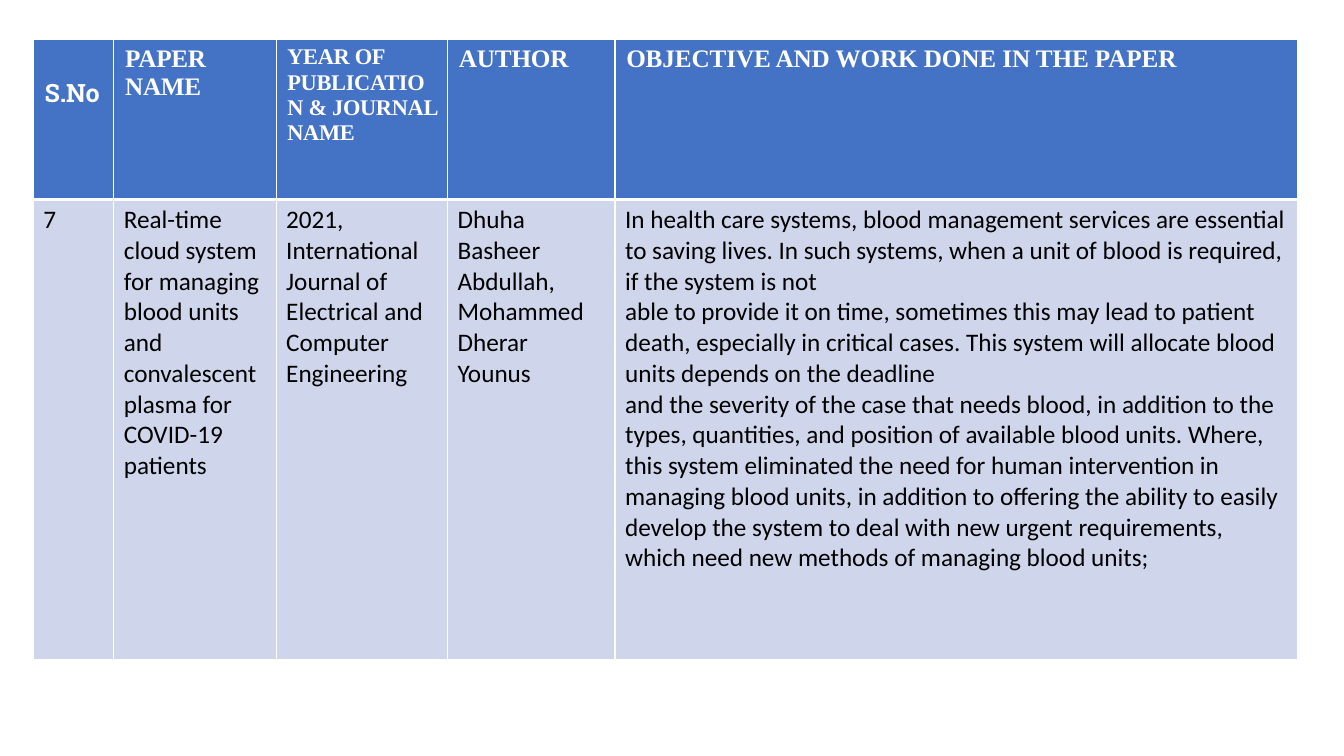
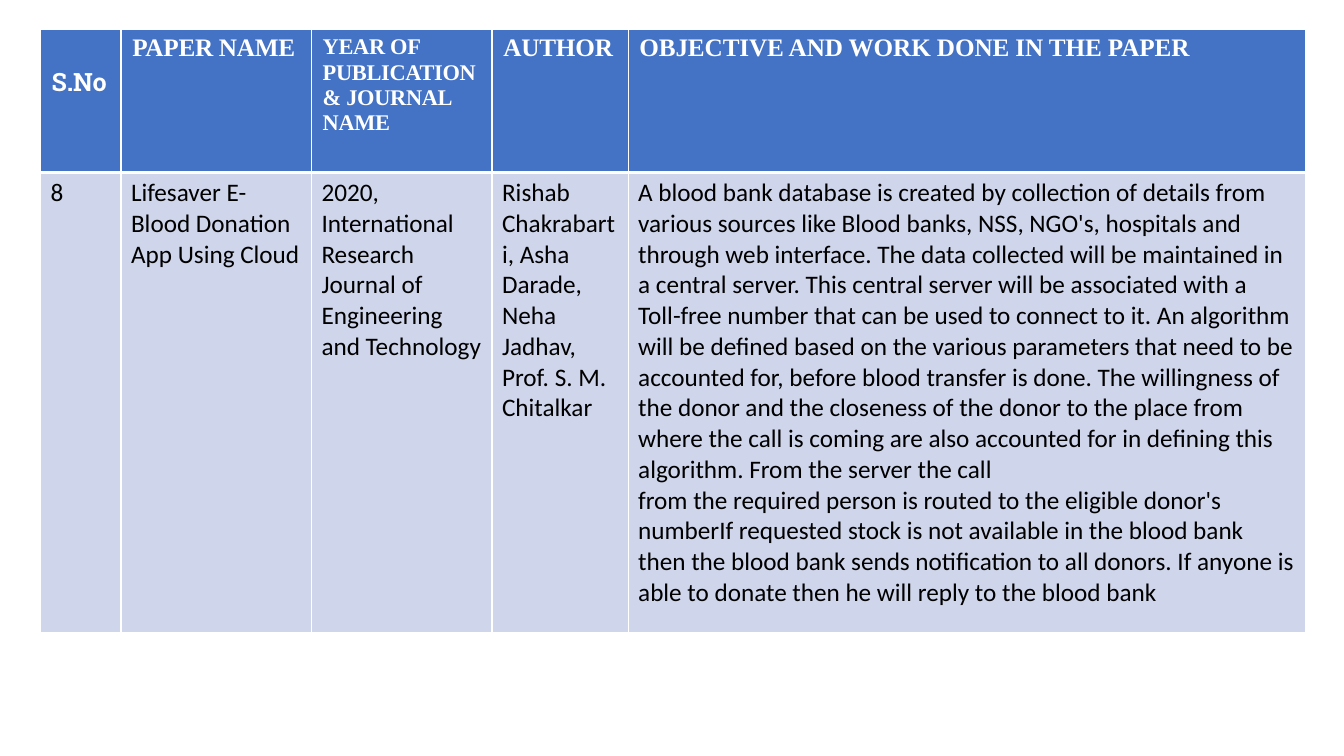
"""Build two literature survey slides, each with one table about a paper."""
from lxml.etree import SubElement
from pptx import Presentation
from pptx.dml.color import RGBColor
from pptx.oxml.ns import qn
from pptx.util import Cm, Pt

BLUE, PALE, WHITE, BLACK = "4472C4", "CFD5EA", "FFFFFF", "000000"
SERIF, SLAB, SANS = "Times New Roman", "Roboto Slab", "Calibri"

HEADINGS = [
    (["S.No"], dict(font=SLAB, spacing=-0.1)),
    (["PAPER NAME"], dict(spacing=-0.2)),
    (["YEAR OF", "PUBLICATION & JOURNAL NAME"], dict(size=16, spacing=-0.2)),
    (["AUTHOR"], dict(spacing=-0.1)),
    (["OBJECTIVE AND WORK DONE IN THE PAPER"], dict(spacing=-0.08)),
]
NUMBER_DROP = Cm(0.91)
BODY_HEIGHT = 11.58

PAPERS = [
    dict(
        corner=(0.84, 1),
        widths=(2.03, 4.09, 4.32, 4.22, 17.2),
        heading_height=4.03,
        entries=[
            ["7"],
            ["Real-time cloud system for managing blood units and convalescent "
             "plasma for COVID-19", "patients"],
            ["2021,", "International Journal of Electrical and Computer Engineering"],
            ["Dhuha Basheer Abdullah, Mohammed Dherar Younus"],
            ["In health care systems, blood management services are essential to "
             "saving lives. In such systems, when a unit of blood is required, if "
             "the system is not",
             "able to provide it on time, sometimes this may lead to patient death, "
             "especially in critical cases. This system will allocate blood units "
             "depends on the deadline",
             "and the severity of the case that needs blood, in addition to the "
             "types, quantities, and position of available blood units. Where, this "
             "system eliminated the need for human intervention in managing blood "
             "units, in addition to offering the ability to easily develop the "
             "system to deal with new urgent requirements, which need new methods "
             "of managing blood units;"],
        ],
    ),
    dict(
        corner=(1.02, 0.74),
        widths=(2.03, 4.8, 4.55, 3.43, 17.07),
        heading_height=3.61,
        entries=[
            ["8"],
            ["Lifesaver E-Blood Donation App Using Cloud"],
            ["2020,", "International Research Journal of Engineering and Technology"],
            ["Rishab Chakrabarti, Asha Darade, Neha Jadhav, Prof. S. M. Chitalkar"],
            ["A blood bank database is created by collection of details from various "
             "sources like Blood banks, NSS, NGO's, hospitals and through web "
             "interface. The data collected will be maintained in a central server. "
             "This central server will be associated with a Toll-free number that "
             "can be used to connect to it. An algorithm will be defined based on "
             "the various parameters that need to be accounted for, before blood "
             "transfer is done. The willingness of the donor and the closeness of "
             "the donor to the place from where the call is coming are also "
             "accounted for in defining this algorithm. From the server the call",
             "from the required person is routed to the eligible donor's numberIf "
             "requested stock is not available in the blood bank then the blood "
             "bank sends notification to all donors. If anyone is able to donate "
             "then he will reply to the blood bank"],
        ],
    ),
]


def color(hex_code):
    return RGBColor.from_string(hex_code)


def write(cell, lines, font=SANS, size=18, ink=BLACK, bold=False, spacing=0,
          indent=0, before=0):
    frame = cell.text_frame
    for index, line in enumerate(lines):
        paragraph = frame.add_paragraph() if index else frame.paragraphs[0]
        paragraph.space_before = Pt(before)
        properties = paragraph._p.get_or_add_pPr()
        properties.set("marL", str(Cm(indent)))
        run = paragraph.add_run()
        run.text = line
        run.font.name, run.font.size, run.font.bold = font, Pt(size), bold
        run.font.color.rgb = color(ink)
        run.font._element.set("spc", str(round(spacing * 100)))


def paint(cell, fill, top=1, bottom=1):
    properties = cell._tc.get_or_add_tcPr()
    for side, width in (("L", 1), ("R", 1), ("T", top), ("B", bottom)):
        border = SubElement(properties, qn(f"a:ln{side}"), w=str(Pt(width)))
        SubElement(SubElement(border, qn("a:solidFill")), qn("a:srgbClr"), val=WHITE)
    cell.fill.solid()
    cell.fill.fore_color.rgb = color(fill)


def add_paper(deck, corner, widths, heading_height, entries):
    slide = deck.slides.add_slide(deck.slide_layouts[6])
    heights = (heading_height, BODY_HEIGHT)
    left, top = corner
    table = slide.shapes.add_table(
        len(heights), len(widths), Cm(left), Cm(top),
        Cm(sum(widths)), Cm(sum(heights))).table
    for row, height in zip(table.rows, heights):
        row.height = Cm(height)
    for index, (width, heading, entry) in enumerate(zip(widths, HEADINGS, entries)):
        table.columns[index].width = Cm(width)
        heading_cell, entry_cell = table.cell(0, index), table.cell(1, index)
        paint(heading_cell, BLUE, bottom=3)
        paint(entry_cell, PALE, top=3)
        lines, style = heading
        look = dict(font=SERIF, ink=WHITE, bold=True, indent=0.03, before=1)
        write(heading_cell, lines, **(look | style))
        write(entry_cell, entry)
    table.cell(0, 0).margin_top = NUMBER_DROP


deck = Presentation()
deck.slide_width, deck.slide_height = Cm(33.87), Cm(19.05)
for paper in PAPERS:
    add_paper(deck, **paper)
deck.save("out.pptx")
